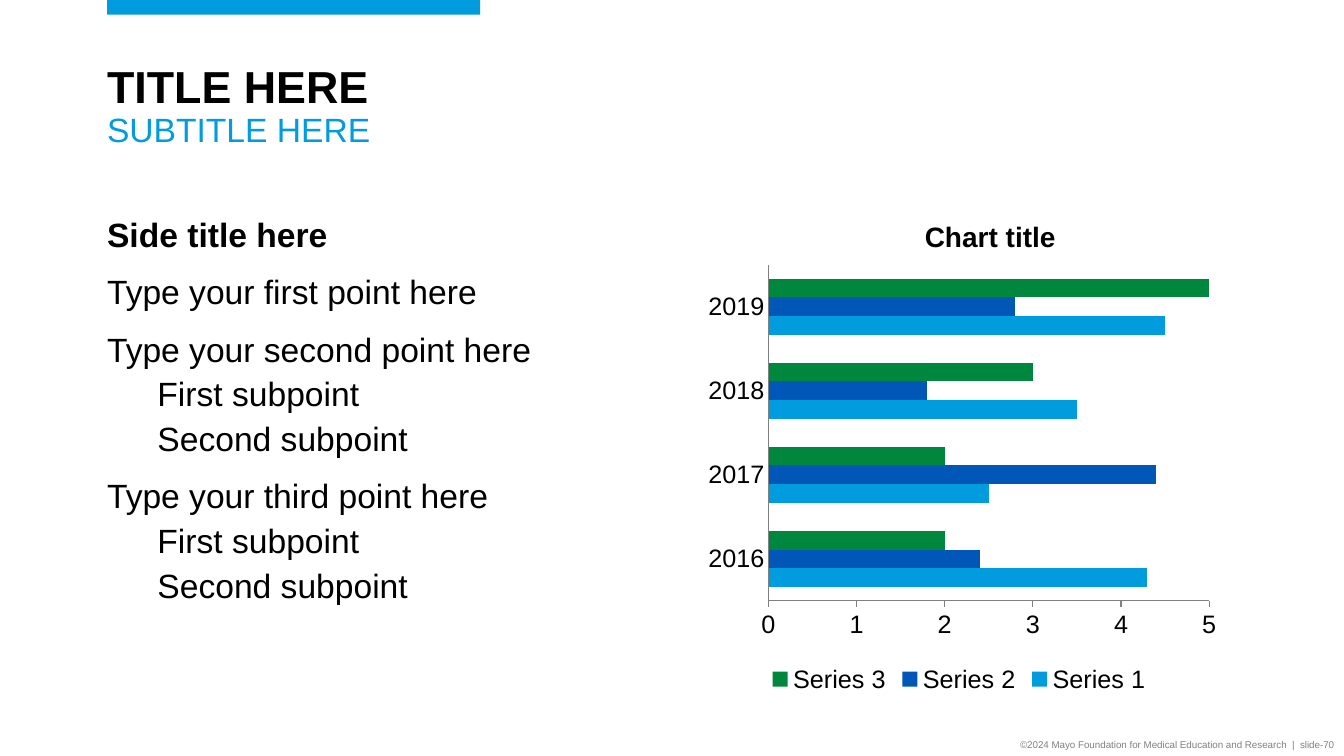
from lxml.etree import SubElement
from pptx import Presentation
from pptx.chart.data import CategoryChartData
from pptx.dml.color import RGBColor
from pptx.enum.chart import XL_CHART_TYPE, XL_LEGEND_POSITION, XL_TICK_MARK
from pptx.enum.shapes import MSO_SHAPE
from pptx.enum.text import MSO_ANCHOR, PP_ALIGN
from pptx.oxml.ns import qn
from pptx.util import Cm, Pt

FONT = "Arial"
BLACK, GRAY, SKY, BLUE, GREEN = "000000", "808080", "009CDE", "0057B8", "00873E"


def style_font(font, size, color, bold=False):
    font.name = FONT
    font.size = Pt(size)
    font.bold = bold
    font.color.rgb = RGBColor.from_string(color)


def add_text_box(left, top, width, height, side=0, above=0, below=0.13):
    frame = slide.shapes.add_textbox(Cm(left), Cm(top), Cm(width), Cm(height)).text_frame
    frame.word_wrap = True
    frame.margin_left = frame.margin_right = Cm(side)
    frame.margin_top, frame.margin_bottom = Cm(above), Cm(below)
    return frame


presentation = Presentation()
presentation.slide_width, presentation.slide_height = Cm(33.87), Cm(19.05)
slide = presentation.slides.add_slide(presentation.slide_layouts[6])

# Footer
footer = add_text_box(18.63, 18.49, 15.24, 0.56, side=0.25, above=0.13)
footer.vertical_anchor = MSO_ANCHOR.MIDDLE
paragraph = footer.paragraphs[0]
paragraph.alignment = PP_ALIGN.RIGHT
run = paragraph.add_run()
run.text = "©2024 Mayo Foundation for Medical Education and Research  |  slide-70"
style_font(run.font, 7, GRAY)

# Accent bar
accent = slide.shapes.add_shape(MSO_SHAPE.RECTANGLE, Cm(2.7), Cm(0), Cm(9.4), Cm(0.37))
accent.shadow.inherit = False
accent.fill.solid()
accent.fill.fore_color.rgb = RGBColor.from_string(SKY)
accent.line.fill.background()

# Title and subtitle
paragraph = add_text_box(2.7, 1.5, 13.26, 2.72, above=0.13).paragraphs[0]
paragraph.line_spacing = 0.9
run = paragraph.add_run()
run.text = "TITLE HERE"
style_font(run.font, 32, BLACK, bold=True)
paragraph.add_line_break()
run = paragraph.add_run()
run.text = "SUBTITLE HERE"
style_font(run.font, 24, SKY)

# Bar chart
chart_data = CategoryChartData()
chart_data.categories = ["2016", "2017", "2018", "2019"]
chart_data.add_series("Series 1", [4.3, 2.5, 3.5, 4.5])
chart_data.add_series("Series 2", [2.4, 4.4, 1.8, 2.8])
chart_data.add_series("Series 3", [2, 2, 3, 5])
chart = slide.shapes.add_chart(
    XL_CHART_TYPE.BAR_CLUSTERED, Cm(15.95), Cm(5.51), Cm(16.43), Cm(12.09), chart_data
).chart
style_font(chart.font, 18, BLACK)
chart.has_title = False
plot = chart.plots[0]
plot.vary_by_categories = False
plot.gap_width = 150
for series, color in zip(plot.series, [SKY, BLUE, GREEN]):
    series.format.fill.solid()
    series.format.fill.fore_color.rgb = RGBColor.from_string(color)

# Axes and legend
for axis, tick in ((chart.category_axis, XL_TICK_MARK.NONE), (chart.value_axis, XL_TICK_MARK.OUTSIDE)):
    axis.has_major_gridlines = False
    axis.major_tick_mark = tick
    axis.minor_tick_mark = XL_TICK_MARK.NONE
    axis.format.line.color.rgb = RGBColor.from_string(GRAY)
    axis.format.line.width = Pt(0.75)
value_axis = chart.value_axis
value_axis.minimum_scale, value_axis.maximum_scale, value_axis.major_unit = 0, 5, 1
value_axis.tick_labels.number_format = "0"
value_axis.tick_labels.number_format_is_linked = False
chart.has_legend = True
chart.legend.position = XL_LEGEND_POSITION.BOTTOM
chart.legend.include_in_layout = False
style_font(chart.legend.font, 18, BLACK)

# Inner plot area as fractions of the chart
plot_area = chart.element.find(".//" + qn("c:plotArea"))
layout = plot_area.find(qn("c:layout"))
if layout is None:
    layout = SubElement(plot_area, qn("c:layout"))
    plot_area.insert(0, layout)
manual = SubElement(layout, qn("c:manualLayout"))
for tag, value in (
    ("layoutTarget", "inner"), ("xMode", "edge"), ("yMode", "edge"),
    ("x", "0.208"), ("y", "0.096"), ("w", "0.676"), ("h", "0.701"),
):
    SubElement(manual, qn("c:" + tag)).set("val", value)

# Chart title
paragraph = add_text_box(21.36, 5.54, 7.19, 0.86, side=0.25, below=0).paragraphs[0]
paragraph.alignment = PP_ALIGN.CENTER
run = paragraph.add_run()
run.text = "Chart title"
style_font(run.font, 20, BLACK, bold=True)

# Side title and points
points = [
    ("Side title here", 0),
    ("Type your first point here", 0),
    ("Type your second point here", 0),
    ("First subpoint", 1),
    ("Second subpoint", 1),
    ("Type your third point here", 0),
    ("First subpoint", 1),
    ("Second subpoint", 1),
]
body = add_text_box(2.7, 5.51, 13.26, 11.07)
for index, (text, level) in enumerate(points):
    paragraph = body.add_paragraph() if index else body.paragraphs[0]
    paragraph.level = level
    paragraph.line_spacing = 0.9
    if index:
        paragraph.space_before = Pt(6 if level else 15)
    if level:
        properties = paragraph._p.get_or_add_pPr()
        properties.set("marL", str(Cm(1.27)))
        properties.set("indent", "0")
    run = paragraph.add_run()
    run.text = text
    style_font(run.font, 24, BLACK, bold=index == 0)

presentation.save("out.pptx")
